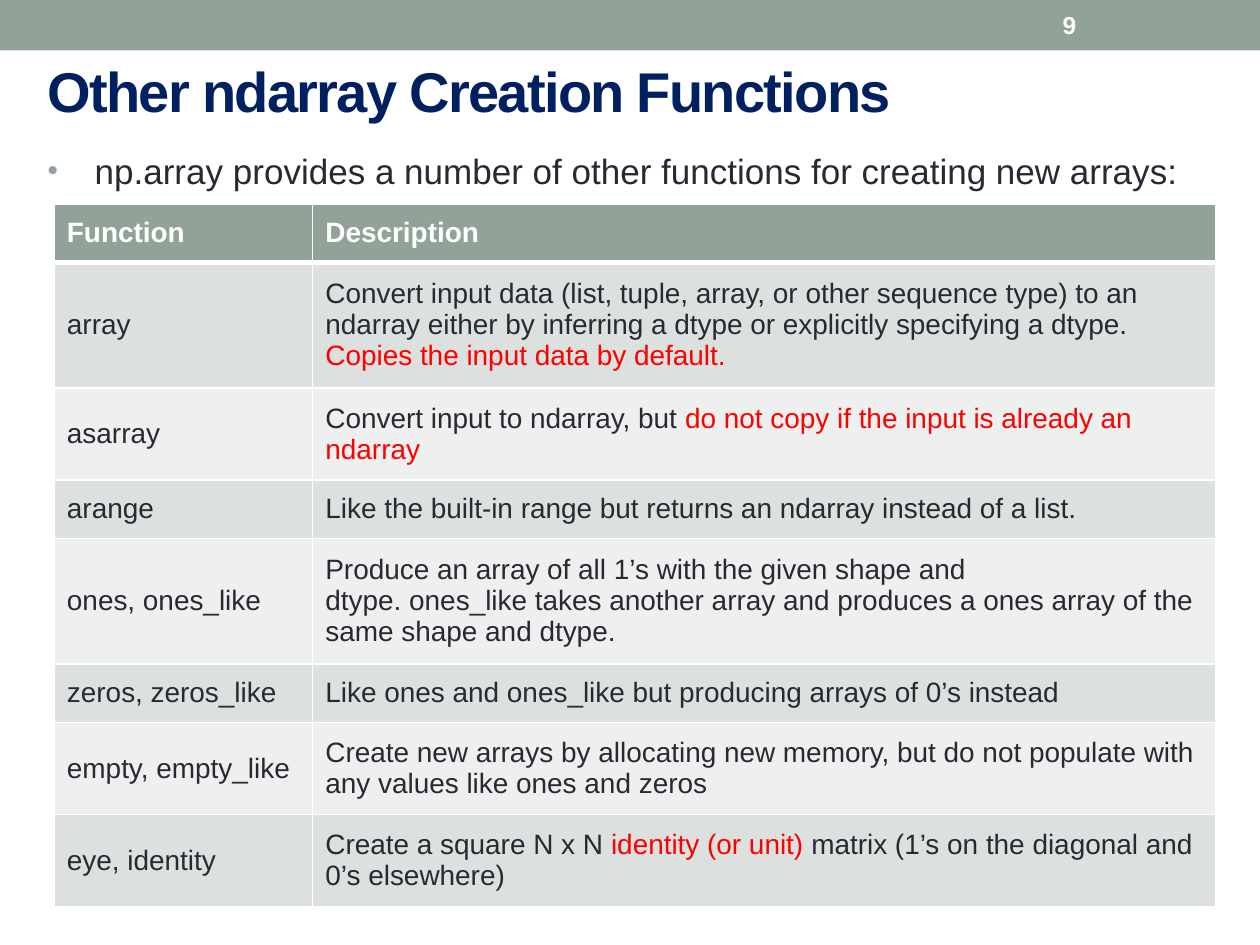
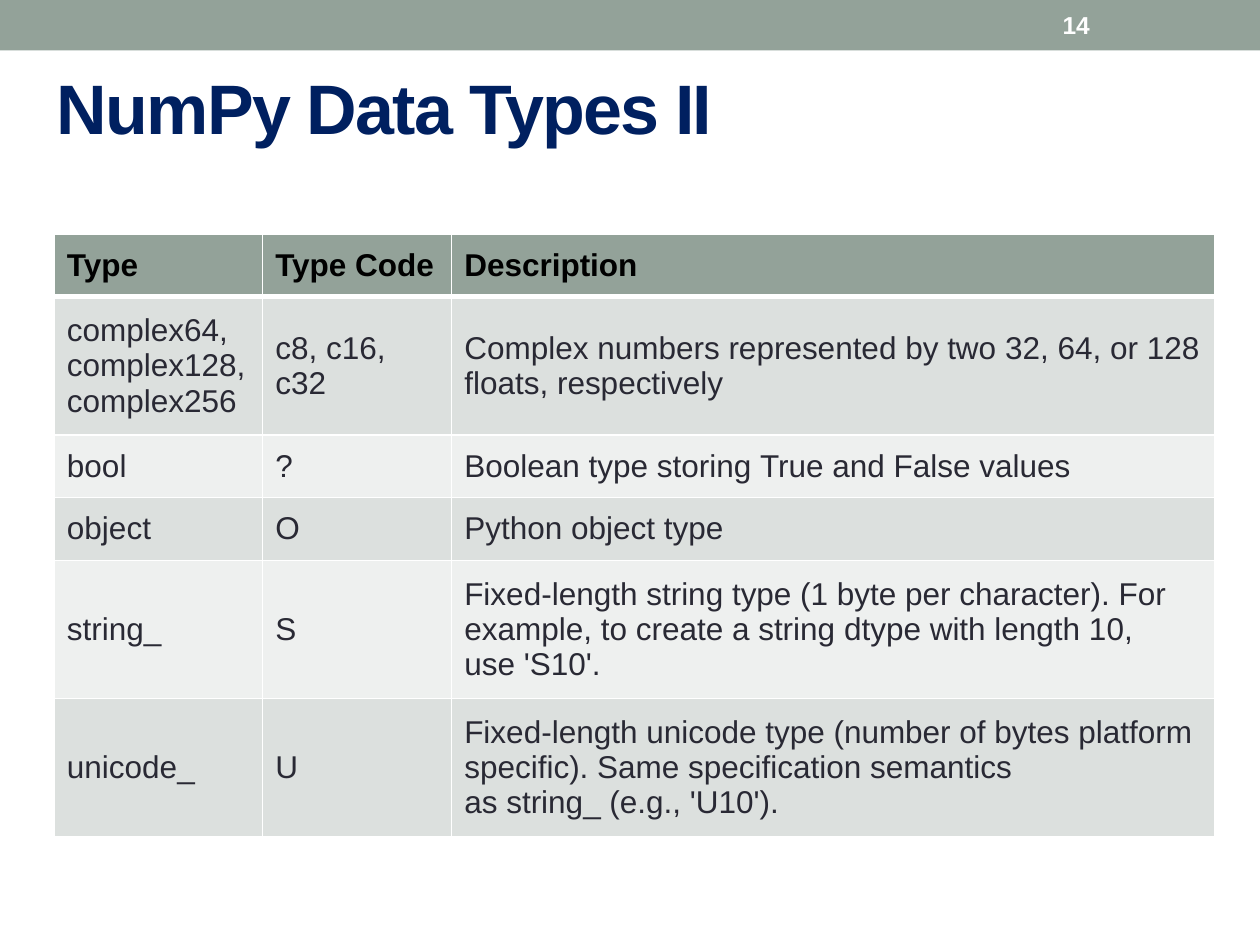
from lxml import etree
from pptx import Presentation
from pptx import util as u
from pptx.dml import color
from pptx.enum import shapes, text
from pptx.oxml import ns

# Content: a tuple in a cell alternates plain and highlighted pieces,
# and ~ stands for a space that must not break
SLIDES = [
    {
        "number": "9",
        "title": "Other ndarray Creation Functions",
        "title_box": (0.71, 0.91, 24.51, 1.8),
        "title_size": 32,
        "bullet": "np.array provides a number of other functions for creating new arrays:",
        "table_top": 4.11,
        "columns": (5.21, 18.2),
        "header_color": "FFFFFF",
        "table_size": 16,
        "rows": [
            ("Function", "Description"),
            ("array",
             ("Convert input data (list, tuple, array, or other sequence type) to an ndarray "
              "either by inferring a dtype or explicitly specifying a dtype. ",
              "Copies the input data by default.")),
            ("asarray",
             ("Convert input to ndarray, but ",
              "do not copy if the input is already an ndarray")),
            ("arange", "Like the built-in~range~but returns an ndarray instead of a list."),
            ("ones, ones_like",
             "Produce an array of all 1’s with the given shape and dtype.~ones_like~takes "
             "another array and produces a ones array of the same shape and dtype."),
            ("zeros, zeros_like",
             "Like~ones~and~ones_like~but producing arrays of 0’s instead"),
            ("empty, empty_like",
             "Create new arrays by allocating new memory, but do not populate with any "
             "values like~ones~and~zeros"),
            ("eye, identity",
             ("Create a square N x N ", "identity (or unit) ",
              "matrix (1’s on the diagonal and 0’s elsewhere)")),
        ],
    },
    {
        "number": "14",
        "title": "NumPy Data Types II",
        "title_box": (0.9, 1.13, 22.86, 2.03),
        "title_size": 40,
        "bullet": None,
        "table_top": 4.72,
        "columns": (4.2, 3.81, 15.39),
        "header_color": "000000",
        "table_size": 18,
        "rows": [
            ("Type", "Type Code", "Description"),
            ("complex64, complex128, complex256", "c8, c16, c32",
             "Complex numbers represented by two 32, 64, or 128 floats, respectively"),
            ("bool", "?", "Boolean type storing~True~and~False~values"),
            ("object", "O", "Python object type"),
            ("string_", "S",
             "Fixed-length string type (1 byte per character). For example, to create a "
             "string dtype with length 10, use~'S10'."),
            ("unicode_", "U",
             "Fixed-length unicode type (number of bytes platform specific). Same "
             "specification semantics as~string_~(e.g.,~'U10')."),
        ],
    },
]

THEME = {
    "font": "Arial",
    "accent": "93A299",
    "title": "002060",
    "body": "292934",
    "highlight": "FF0000",
    "white": "FFFFFF",
    "stripes": ("DCE0DE", "EEF0EF"),
    "number_size": 14,
    "bullet_size": 20,
    "border": 1,
    "header_border": 3,
}

# Shared places, in centimetres
SLIDE_SIZE = (25.4, 19.05)
BAND_HEIGHT = 1.02
NUMBER_BOX = (21.17, 0.05, 2.97, 0.91)
BULLET_BOX = (0.71, 2.72, 24, 1.19)
BULLET_INDENT = 0.95
TABLE_LEFT = 1.09
ROW_HEIGHT = 1.04
CELL_MARGINS = {"margin_left": 0.26, "margin_right": 0.26,
                "margin_top": 0.25, "margin_bottom": 0.25}
NO_BREAK_SPACE = chr(160)


def apply(target, values):
    for name, value in values.items():
        setattr(target, name, value)


def lengths(box):
    return [u.Cm(value) for value in box]


def fill_solid(fill, rgb):
    fill.solid()
    fill.fore_color.rgb = color.RGBColor.from_string(rgb)


def add_child(parent, tag, **attributes):
    return etree.SubElement(parent, ns.qn(tag), attributes)


def add_run(paragraph, wording, size, rgb, bold=False):
    run = paragraph.add_run()
    run.text = wording.replace("~", NO_BREAK_SPACE)
    apply(run.font, {"name": THEME["font"], "size": u.Pt(size), "bold": bold})
    run.font.color.rgb = color.RGBColor.from_string(rgb)
    return run


def add_text(slide, box, wording, size, rgb, bold=False, anchor=text.MSO_ANCHOR.MIDDLE):
    frame = slide.shapes.add_textbox(*lengths(box)).text_frame
    apply(frame, {"word_wrap": True, "vertical_anchor": anchor})
    paragraph = frame.paragraphs[0]
    return paragraph, add_run(paragraph, wording, size, rgb, bold)


def add_frame(slide, content):
    """Top band, title and slide number."""
    band = slide.shapes.add_shape(
        shapes.MSO_SHAPE.RECTANGLE, *lengths((0, 0, SLIDE_SIZE[0], BAND_HEIGHT)))
    band.shadow.inherit = False
    fill_solid(band.fill, THEME["accent"])
    band.line.fill.background()
    _, title = add_text(slide, content["title_box"], content["title"],
                        content["title_size"], THEME["title"], bold=True)
    title._r.get_or_add_rPr().set("spc", "-100")
    add_text(slide, NUMBER_BOX, content["number"], THEME["number_size"],
             THEME["white"], bold=True)


def add_bullet(slide, wording):
    paragraph, _ = add_text(slide, BULLET_BOX, wording, THEME["bullet_size"],
                            THEME["body"], anchor=text.MSO_ANCHOR.TOP)
    apply(paragraph, {"line_spacing": 1.2, "space_before": u.Pt(12)})
    properties = paragraph._p.get_or_add_pPr()
    indent = u.Cm(BULLET_INDENT)
    properties.set("marL", str(indent))
    properties.set("indent", str(-indent))
    add_child(add_child(properties, "a:buClr"), "a:srgbClr", val=THEME["accent"])
    add_child(properties, "a:buSzPct", val="85000")
    add_child(properties, "a:buFont", typeface=THEME["font"])
    add_child(properties, "a:buChar", char="•")


def add_borders(cell, row_index):
    """White cell lines, heavier under the header."""
    widths = dict.fromkeys(("a:lnL", "a:lnR", "a:lnT", "a:lnB"), THEME["border"])
    if row_index < 2:
        widths["a:lnT" if row_index else "a:lnB"] = THEME["header_border"]
    properties = cell._tc.get_or_add_tcPr()
    for tag, width in widths.items():
        line = add_child(properties, tag, w=str(u.Pt(width)))
        add_child(add_child(line, "a:solidFill"), "a:srgbClr", val=THEME["white"])


def fill_cell(cell, wording, row_index, content):
    is_header = row_index == 0
    apply(cell, {side: u.Cm(margin) for side, margin in CELL_MARGINS.items()})
    cell.vertical_anchor = text.MSO_ANCHOR.MIDDLE
    add_borders(cell, row_index)
    fill_solid(cell.fill,
               THEME["accent"] if is_header else THEME["stripes"][(row_index - 1) % 2])
    pieces = (wording,) if isinstance(wording, str) else wording
    plain = content["header_color"] if is_header else THEME["body"]
    for index, piece in enumerate(pieces):
        add_run(cell.text_frame.paragraphs[0], piece, content["table_size"],
                THEME["highlight"] if index % 2 else plain, bold=is_header)


def add_content_table(slide, content):
    """Table whose rows start at one height and grow with their text."""
    rows, columns = content["rows"], content["columns"]
    box = (TABLE_LEFT, content["table_top"], sum(columns), ROW_HEIGHT * len(rows))
    table = slide.shapes.add_table(len(rows), len(columns), *lengths(box)).table
    for column, width in zip(table.columns, columns):
        column.width = u.Cm(width)
    for row_index, (row, wordings) in enumerate(zip(table.rows, rows)):
        row.height = u.Cm(ROW_HEIGHT)
        for cell, wording in zip(row.cells, wordings):
            fill_cell(cell, wording, row_index, content)


def main():
    presentation = Presentation()
    presentation.slide_width, presentation.slide_height = lengths(SLIDE_SIZE)
    for content in SLIDES:
        slide = presentation.slides.add_slide(presentation.slide_layouts[6])
        add_frame(slide, content)
        add_content_table(slide, content)
        if content["bullet"]:
            add_bullet(slide, content["bullet"])
    presentation.save("out.pptx")


if __name__ == "__main__":
    main()
